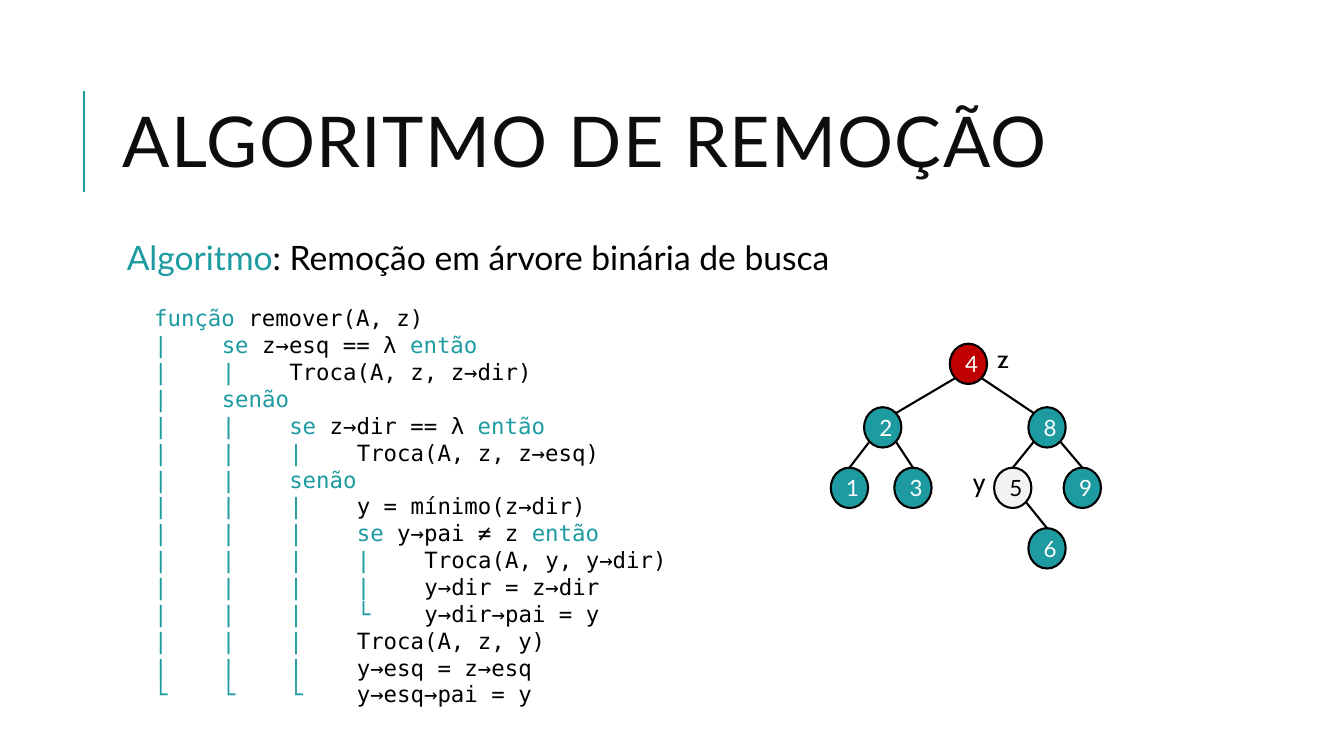
from dataclasses import dataclass
from itertools import groupby
from math import sqrt
from typing import NamedTuple

from lxml.etree import SubElement
from pptx import Presentation
from pptx.dml.color import RGBColor
from pptx.enum.shapes import MSO_CONNECTOR as Connector, MSO_SHAPE as Shape
from pptx.enum.text import MSO_ANCHOR as Anchor, PP_ALIGN as Align
from pptx.oxml.ns import qn
from pptx.util import Inches, Pt

COLORS = {"teal": "1D9BA1", "red": "C00000", "pale": "F2F2F2",
          "black": "000000", "white": "FFFFFF", "title": "0D0D0D"}
KEYWORDS = {"função", "se", "então", "senão"}
NODE_WIDTH, NODE_HEIGHT = 0.37, 0.4
LEVEL_TOPS = (3.41, 4.04, 4.64, 5.24)
TAB_STEP = 0.67


@dataclass(frozen=True)
class Node:
    key: str
    left: float
    level: int
    parent: str = ""
    fill: str = "teal"
    ink: str = "white"

    def point(self, across: float, down: float) -> tuple[float, float]:
        return (self.left + NODE_WIDTH / 2 * (1 + across),
                LEVEL_TOPS[self.level] + NODE_HEIGHT / 2 * (1 + down))


class CodeLine(NamedTuple):
    guides: str
    text: str


class Label(NamedTuple):
    text: str
    left: float
    top: float


NODES = [
    Node("4", 9.42, 0, fill="red"),
    Node("8", 10.2, 1, "4"),
    Node("2", 8.57, 1, "4"),
    Node("1", 8.24, 2, "2"),
    Node("3", 8.87, 2, "2"),
    Node("5", 9.86, 2, "8", "pale", "black"),
    Node("9", 10.55, 2, "8"),
    Node("6", 10.2, 3, "5"),
]
LABELS = [Label("z", 9.79, 3.36), Label("y", 9.55, 4.58)]
CODE = [
    CodeLine("", "função remover(A, z)"),
    CodeLine("|", "se z→esq == λ então"),
    CodeLine("||", "Troca(A, z, z→dir)"),
    CodeLine("|", "senão"),
    CodeLine("||", "se z→dir == λ então"),
    CodeLine("|||", "Troca(A, z, z→esq)"),
    CodeLine("||", "senão"),
    CodeLine("|||", "y = mínimo(z→dir)"),
    CodeLine("|||", "se y→pai ≠ z então"),
    CodeLine("||||", "Troca(A, y, y→dir)"),
    CodeLine("||||", "y→dir = z→dir"),
    CodeLine("|||└", "y→dir→pai = y"),
    CodeLine("|||", "Troca(A, z, y)"),
    CodeLine("|||", "y→esq = z→esq"),
    CodeLine("└└└", "y→esq→pai = y"),
]


def rgb(name: str) -> RGBColor:
    return RGBColor.from_string(COLORS[name])


def add_span(para, text: str, *, size: float, color: str = "black",
             font: str = "Lato", spacing: int = 0) -> None:
    span = para.add_run()
    span.text = text
    span.font.size, span.font.name = Pt(size), font
    span.font.color.rgb = rgb(color)
    if spacing:
        span.font._element.set("spc", str(spacing))


def add_box(shapes, left: float, top: float, width: float, height: float):
    box = shapes.add_textbox(Inches(left), Inches(top), Inches(width), Inches(height))
    box.text_frame.word_wrap = True
    return box.text_frame


def add_line(shapes, start: tuple[float, float], end: tuple[float, float],
             color: str = "black") -> None:
    line = shapes.add_connector(Connector.STRAIGHT, *map(Inches, start + end))
    line.line.color.rgb = rgb(color)
    line.line.width = Pt(1.5)
    SubElement(line._element.spPr, qn("a:effectLst"))


def add_node(shapes, node: Node) -> None:
    circle = shapes.add_shape(Shape.OVAL, Inches(node.left), Inches(LEVEL_TOPS[node.level]),
                              Inches(NODE_WIDTH), Inches(NODE_HEIGHT))
    circle.shadow.inherit = False
    circle.fill.solid()
    circle.fill.fore_color.rgb = rgb(node.fill)
    circle.line.color.rgb = rgb("black")
    circle.line.width = Pt(1.5)
    circle.text_frame.vertical_anchor = Anchor.MIDDLE
    para = circle.text_frame.paragraphs[0]
    para.alignment = Align.CENTER
    add_span(para, node.key, size=16, color=node.ink)


def add_edge(shapes, parent: Node, child: Node) -> None:
    diagonal = 1 / sqrt(2)
    side = diagonal if child.left > parent.left else -diagonal
    target = (-side, -diagonal) if parent.level == 0 else (0, -1)
    add_line(shapes, parent.point(side, diagonal), child.point(*target))


def add_code_line(para, line: CodeLine) -> None:
    para.line_spacing = Pt(19.2)
    tabs = SubElement(para._p.get_or_add_pPr(), qn("a:tabLst"))
    for stop in range(1, 5):
        SubElement(tabs, qn("a:tab"), pos=str(Inches(TAB_STEP * stop)), algn="l")
    style = {"size": 16, "font": "DejaVu Sans Mono"}
    if line.guides:
        add_span(para, "".join(guide + "\t" for guide in line.guides), color="teal", **style)
    words = line.text.split(" ")
    tokens = [word + " " for word in words[:-1]] + words[-1:]
    for is_keyword, group in groupby(tokens, lambda token: token.strip() in KEYWORDS):
        add_span(para, "".join(group), color="teal" if is_keyword else "black", **style)


def add_code(shapes) -> None:
    frame = add_box(shapes, 1.53, 3.02, 6.5, 4.05)
    frame.margin_left = frame.margin_right = frame.margin_top = frame.margin_bottom = 0
    for index, line in enumerate(CODE):
        add_code_line(frame.add_paragraph() if index else frame.paragraphs[0], line)


def add_tree(shapes) -> None:
    tree = shapes.add_group_shape().shapes
    by_key = {node.key: node for node in NODES}
    for node in NODES:
        add_node(tree, node)
        if node.parent:
            add_edge(tree, by_key[node.parent], node)
    for label in LABELS:
        frame = add_box(tree, label.left, label.top, 0.32, 0.4)
        add_span(frame.paragraphs[0], label.text, size=18, font="Cabin")


def main() -> None:
    deck = Presentation()
    deck.slide_width, deck.slide_height = Inches(13.33), Inches(7.5)
    page = deck.slides.add_slide(deck.slide_layouts[6])
    add_line(page.shapes, (0.83, 1.9), (0.83, 0.9), "teal")

    title = add_box(page.shapes, 1.12, 0.64, 10.63, 1.64)
    title.vertical_anchor = Anchor.MIDDLE
    title.paragraphs[0].line_spacing = 0.8
    add_span(title.paragraphs[0], "ALGORITMO DE REMOÇÃO", size=50, color="title", spacing=100)

    heading = add_box(page.shapes, 1.16, 2.3, 7.44, 0.5).paragraphs[0]
    add_span(heading, "Algoritmo", size=24, color="teal")
    add_span(heading, ": Remoção em árvore binária de busca", size=24)

    add_code(page.shapes)
    add_tree(page.shapes)
    deck.save("out.pptx")


main()
